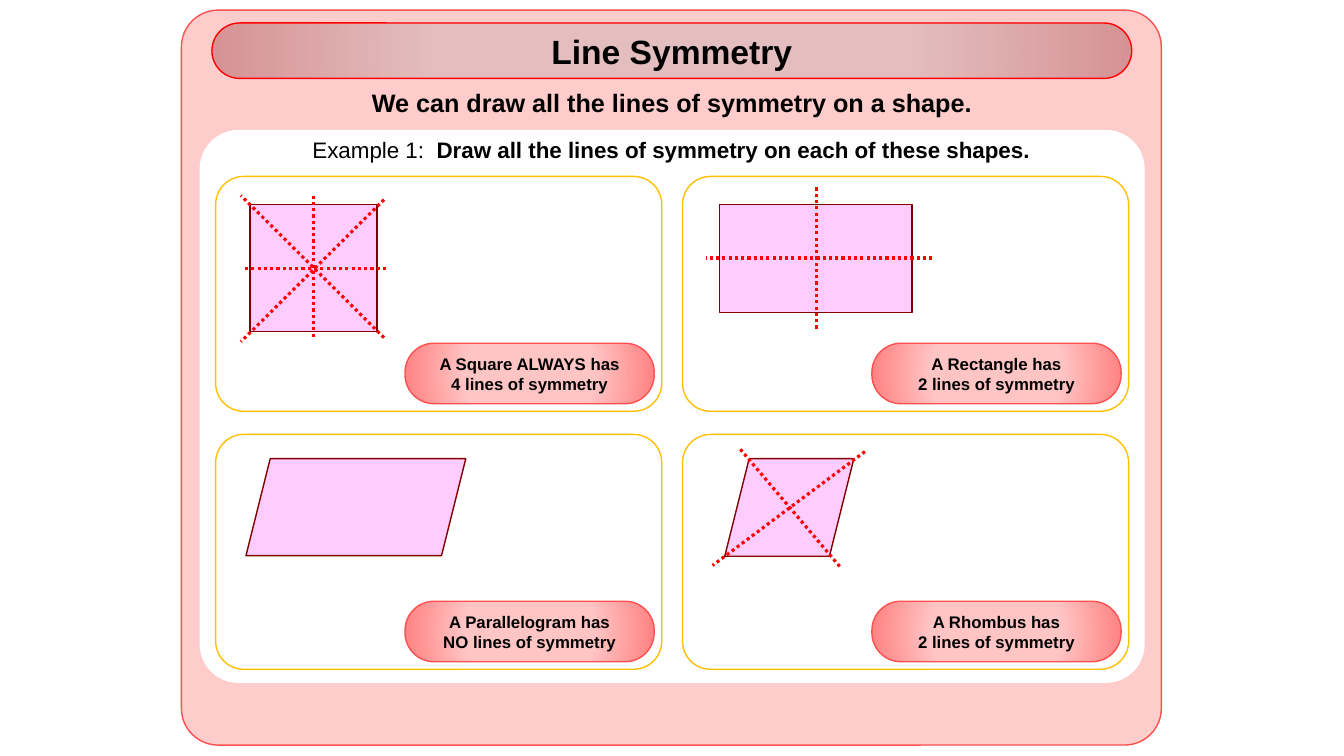
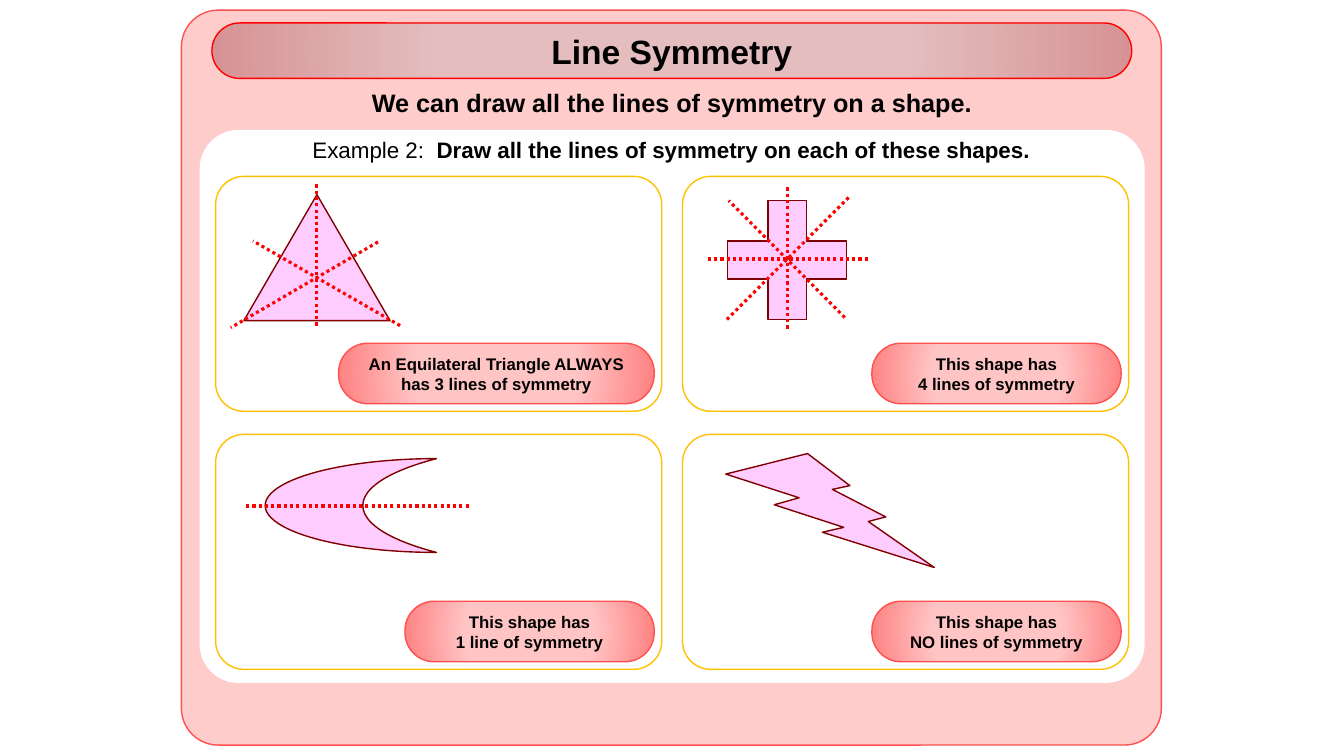
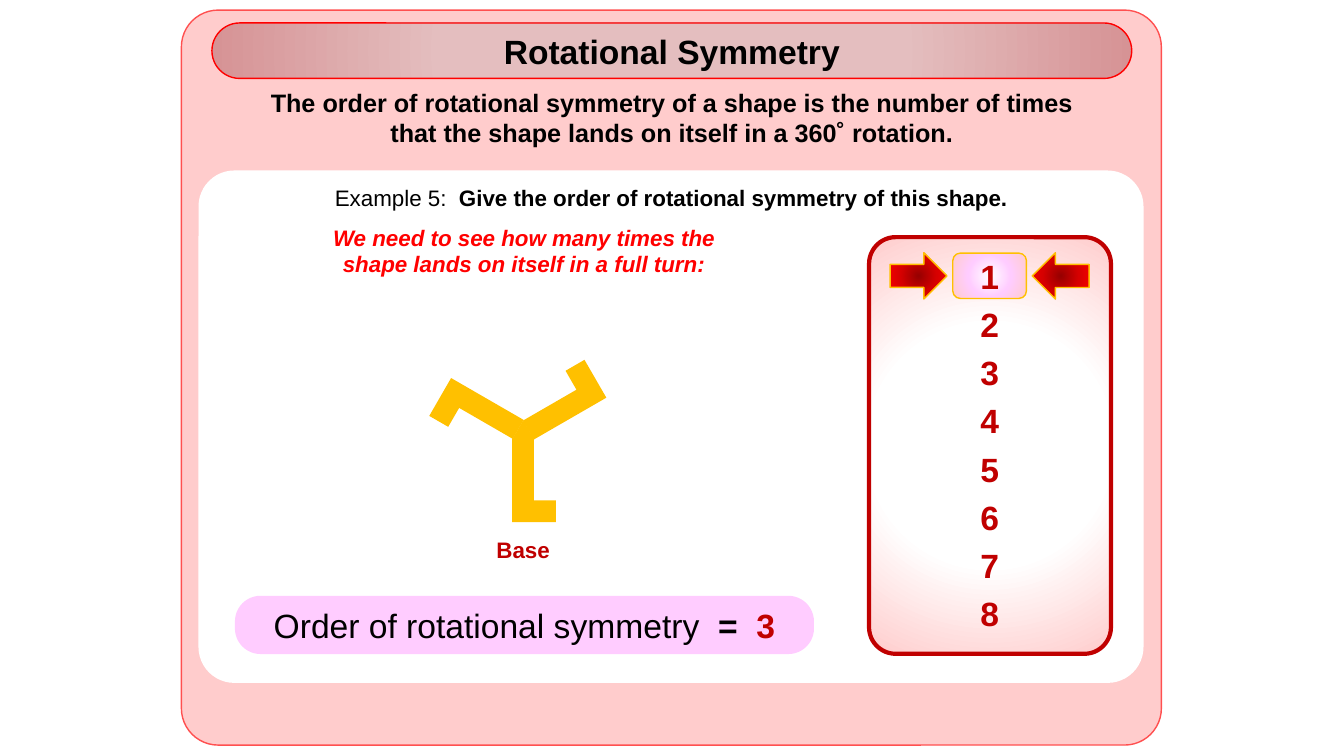
from lxml import etree
from pptx import Presentation
from pptx.dml.color import RGBColor
from pptx.enum.dml import MSO_LINE
from pptx.enum.shapes import MSO_CONNECTOR, MSO_SHAPE
from pptx.enum.text import MSO_ANCHOR, PP_ALIGN
from pptx.oxml.ns import qn
from pptx.util import Pt

# Shared style
FONT = "Arial"
BLACK = RGBColor(0x00, 0x00, 0x00)
WHITE = RGBColor(0xFF, 0xFF, 0xFF)
PINK = RGBColor(0xFF, 0xCC, 0xCC)
CORAL = RGBColor(0xFF, 0x50, 0x50)
RED = RGBColor(0xFF, 0x00, 0x00)
CRIMSON = RGBColor(0xC0, 0x00, 0x00)
MAROON = RGBColor(0x80, 0x00, 0x00)
LILAC = RGBColor(0xFF, 0xCC, 0xFF)
GOLD = RGBColor(0xFF, 0xC0, 0x00)

# Radial gradients: (percent from the centre, colour)
BAND_GLOW = [(0, "E4BEBF"), (50, "E4BEBF"), (100, "D69395")]
PILL_GLOW = [(0, "FFC5C5"), (50, "FFC5C5"), (100, "FF8080")]
PANEL_GLOW = [(0, "FFFFFF"), (50, "FFFFFF"), (100, "FFCCCC")]
ARROW_GLOW = [(0, "970000"), (50, "D70000"), (100, "FF0000")]
CHOICE_GLOW = [(0, "FFFFFF"), (50, "FFCCFF"), (100, "FFCCCC")]

# Cell grid
CELL_LEFT, CELL_TOP = 154, 126
CELL_WIDTH, CELL_HEIGHT = 318.7, 167.8
COLUMN_STEP, ROW_STEP = 333.5, 184.3
CELL_INSET = 5.4
PILL_WIDTH, WIDE_PILL_WIDTH, PILL_HEIGHT = 178, 225.4, 43.2

# Content: each cell has a figure (outline, adjustment, box), its symmetry
# lines and an answer; places are measured from the corner of the cell
LINE_TITLE = "Line Symmetry"
LINE_RULE = ["We can draw all the lines of symmetry on a shape."]
LINE_TASK = "Draw all the lines of symmetry on each of these shapes."

LINE_SLIDES = [
    ("Example 1:  ", [
        dict(figure=(MSO_SHAPE.RECTANGLE, None, (24.6, 20.2, 90.7, 90.7)),
             lines=[(69.9, 13.7, 69.9, 115.9), (121.8, 65.5, 19.5, 65.5),
                    (120.3, 16.6, 18.1, 118.1), (120.3, 115.2, 18.1, 13.7)],
             answer=["A Square ALWAYS has", "4 lines of symmetry"]),
        dict(figure=(MSO_SHAPE.RECTANGLE, None, (26.6, 20.2, 137.5, 77)),
             lines=[(95.7, 7.9, 95.7, 110.2), (178.5, 58.3, 16.5, 58.3)],
             answer=["A Rectangle has", "2 lines of symmetry"]),
        dict(figure=(MSO_SHAPE.PARALLELOGRAM, None, (21.7, 17.3, 157, 69.3)),
             lines=[],
             answer=["A Parallelogram has", "NO lines of symmetry"]),
        dict(figure=(MSO_SHAPE.PARALLELOGRAM, None, (30.2, 17.3, 92.2, 69.8)),
             lines=[(130.3, 12.3, 21.5, 93.6), (112.3, 94.3, 40.3, 9.4)],
             answer=["A Rhombus has", "2 lines of symmetry"]),
    ]),
    ("Example 2:  ", [
        dict(figure=(MSO_SHAPE.ISOSCELES_TRIANGLE, None, (20.2, 13, 104.4, 90)),
             lines=[(72.1, 5.8, 72.1, 108), (116, 46.8, 10.9, 108),
                    (131.8, 106.6, 26.7, 46.1)],
             answer=["An Equilateral Triangle ALWAYS has 3 lines of symmetry"],
             pill_width=WIDE_PILL_WIDTH),
        dict(figure=(MSO_SHAPE.CROSS, 0.34, (32.3, 17.3, 85, 85)),
             lines=[(74.8, 7.9, 74.8, 110.2), (132.4, 59, 16.5, 59),
                    (118.7, 15.1, 30.2, 103.7), (115.9, 100.8, 33.1, 17.3)],
             answer=["This shape has", "4 lines of symmetry"]),
        dict(figure=(MSO_SHAPE.MOON, 0.57, (35.4, 17.3, 122.4, 67)),
             lines=[(180.8, 51.1, 21, 51.1)],
             answer=["This shape has", "1 line of symmetry"]),
        dict(figure=(MSO_SHAPE.LIGHTNING_BOLT, None, (30.9, 13.7, 149, 81.4)),
             lines=[],
             answer=["This shape has", "NO lines of symmetry"]),
    ]),
]

TURN_TITLE = "Rotational Symmetry"
TURN_RULE = ["The order of rotational symmetry of a shape is the number of times",
             "that the shape lands on itself in a 360˚ rotation."]
TURN_EXAMPLE = "Example 5:  "
TURN_TASK = "Give the order of rotational symmetry of this shape."
TURN_HINT = ("We need to see how many times the "
             "shape lands on itself in a full turn:")
ORDER_RUNS = [("Order of rotational symmetry  ", {}),
              ("=  ", dict(bold=True)),
              ("3", dict(bold=True, color=CRIMSON))]
ORDERS = range(1, 9)
ORDER_TOP, ORDER_STEP = 179.4, 34.35
ARM_SIZE = (31.2, 59.8)
ARMS = [(365.8, 313.2, 0), (324.7, 268.6, 120), (383.8, 255.6, 240)]
ARROWS = [(635.8, 0), (737.3, 180)]


def points(box):
    return [Pt(length) for length in box]


def glow(shape, stops):
    """Fill a shape with a radial gradient."""
    shape.fill.solid()
    solid = shape._element.spPr.find(qn("a:solidFill"))
    grad = etree.Element(qn("a:gradFill"), rotWithShape="1")
    stop_list = etree.SubElement(grad, qn("a:gsLst"))
    for percent, color in stops:
        stop = etree.SubElement(stop_list, qn("a:gs"), pos=str(percent * 1000))
        etree.SubElement(stop, qn("a:srgbClr"), val=color)
    spread = etree.SubElement(grad, qn("a:path"), path="circle")
    etree.SubElement(spread, qn("a:fillToRect"),
                     l="50000", t="50000", r="50000", b="50000")
    solid.getparent().replace(solid, grad)


def add_figure(slide, kind, box, fill=None, line=None, width=1,
               adjust=None, turn=0):
    """fill is a colour, a list of gradient stops or None."""
    shape = slide.shapes.add_shape(kind, *points(box))
    shape.shadow.inherit = False
    shape.rotation = turn
    if adjust is not None:
        shape.adjustments[0] = adjust
    if isinstance(fill, list):
        glow(shape, fill)
    elif fill is None:
        shape.fill.background()
    else:
        shape.fill.solid()
        shape.fill.fore_color.rgb = fill
    if line is None:
        shape.line.fill.background()
    else:
        shape.line.color.rgb = line
        shape.line.width = Pt(width)
    return shape


def write(shape, paragraphs, size, anchor=MSO_ANCHOR.MIDDLE):
    """paragraphs holds lists of (text, style) runs."""
    frame = shape.text_frame
    frame.word_wrap = True
    frame.vertical_anchor = anchor
    for number, runs in enumerate(paragraphs):
        paragraph = frame.add_paragraph() if number else frame.paragraphs[0]
        paragraph.alignment = PP_ALIGN.CENTER
        for text, style in runs:
            run = paragraph.add_run()
            run.text = text
            run.font.name = FONT
            run.font.size = Pt(size)
            run.font.bold = style.get("bold", False)
            run.font.italic = style.get("italic", False)
            run.font.color.rgb = style.get("color", BLACK)


def bold_lines(lines, **style):
    return [[(line, dict(bold=True, **style))] for line in lines]


def add_label(slide, box, paragraphs, size):
    write(slide.shapes.add_textbox(*points(box)), paragraphs, size,
          MSO_ANCHOR.TOP)


def add_symmetry_line(slide, ends):
    axis = slide.shapes.add_connector(MSO_CONNECTOR.STRAIGHT, *points(ends))
    axis.line.color.rgb = RED
    axis.line.width = Pt(2.25)
    axis.line.dash_style = MSO_LINE.ROUND_DOT
    etree.SubElement(axis._element.spPr, qn("a:effectLst"))


def start_slide(deck, title, rule, example, task, panel, task_top):
    """Frame, white panel, title band, rule and task shared by all slides."""
    slide = deck.slides.add_slide(deck.slide_layouts[6])
    add_figure(slide, MSO_SHAPE.ROUNDED_RECTANGLE, (129.6, 7.2, 700, 525),
               PINK, CORAL, adjust=0.05)
    add_figure(slide, MSO_SHAPE.ROUNDED_RECTANGLE, panel, WHITE, adjust=0.07)
    band = add_figure(slide, MSO_SHAPE.ROUNDED_RECTANGLE,
                      (151.4, 16.4, 657, 39.6), BAND_GLOW, RED, adjust=0.5)
    write(band, bold_lines([title]), 24)
    add_label(slide, (136.5, 59, 687, 29), bold_lines(rule), 18)
    add_label(slide, (156.5, task_top, 646, 26.6),
              [[(example, {}), (task, dict(bold=True))]], 16)
    return slide


def add_cell(slide, index, cell):
    row, column = divmod(index, 2)
    left = CELL_LEFT + column * COLUMN_STEP
    top = CELL_TOP + row * ROW_STEP
    add_figure(slide, MSO_SHAPE.ROUNDED_RECTANGLE,
               (left, top, CELL_WIDTH, CELL_HEIGHT), line=GOLD, adjust=0.12)

    # Answer pill in the lower right corner
    width = cell.get("pill_width", PILL_WIDTH)
    pill = add_figure(slide, MSO_SHAPE.ROUNDED_RECTANGLE,
                      (left + CELL_WIDTH - CELL_INSET - width,
                       top + CELL_HEIGHT - CELL_INSET - PILL_HEIGHT,
                       width, PILL_HEIGHT), PILL_GLOW, CORAL, adjust=0.48)
    write(pill, bold_lines(cell["answer"]), 12)

    # Figure and its lines of symmetry
    kind, adjust, (x, y, w, h) = cell["figure"]
    add_figure(slide, kind, (left + x, top + y, w, h), LILAC, MAROON,
               adjust=adjust)
    for x1, y1, x2, y2 in cell["lines"]:
        add_symmetry_line(slide, (left + x1, top + y1, left + x2, top + y2))


def add_turn_slide(deck):
    slide = start_slide(deck, TURN_TITLE, TURN_RULE, TURN_EXAMPLE, TURN_TASK,
                        (141.8, 121.8, 675, 366), 128.2)
    add_label(slide, (208, 156.2, 332.6, 46),
              bold_lines([TURN_HINT], italic=True, color=RED), 16)

    # Three-armed shape
    for left, top, turn in ARMS:
        add_figure(slide, MSO_SHAPE.CORNER, (left, top, *ARM_SIZE), GOLD,
                   turn=turn)
    add_figure(slide, MSO_SHAPE.ISOSCELES_TRIANGLE,
               (365.8, 300.2, 15.8, 13.7), GOLD)
    add_label(slide, (330.5, 379.6, 86.4, 26.6),
              bold_lines(["Base"], color=CRIMSON), 16)

    # Result
    result = add_figure(slide, MSO_SHAPE.ROUNDED_RECTANGLE,
                        (167.8, 425.6, 413.6, 41.6), LILAC, adjust=0.44)
    write(result, [ORDER_RUNS], 24)

    # Counter with the current order marked
    add_figure(slide, MSO_SHAPE.ROUNDED_RECTANGLE, (620.8, 169.4, 172.8, 297.6),
               PANEL_GLOW, CRIMSON, width=3, adjust=0.11)
    for left, turn in ARROWS:
        add_figure(slide, MSO_SHAPE.RIGHT_ARROW, (left, 180.6, 40.6, 33),
                   ARROW_GLOW, GOLD, turn=turn)
    add_figure(slide, MSO_SHAPE.ROUNDED_RECTANGLE, (680.6, 180.8, 52.6, 32.4),
               CHOICE_GLOW, GOLD)
    for index, order in enumerate(ORDERS):
        add_label(slide, (661.6, ORDER_TOP + index * ORDER_STEP, 90.8, 36),
                  bold_lines([str(order)], color=CRIMSON), 24)


def main():
    deck = Presentation()
    deck.slide_width, deck.slide_height = Pt(960), Pt(540)
    for example, cells in LINE_SLIDES:
        slide = start_slide(deck, LINE_TITLE, LINE_RULE, example, LINE_TASK,
                            (142.6, 92.8, 675, 395), 93.8)
        for index, cell in enumerate(cells):
            add_cell(slide, index, cell)
    add_turn_slide(deck)
    deck.save("out.pptx")


if __name__ == "__main__":
    main()
